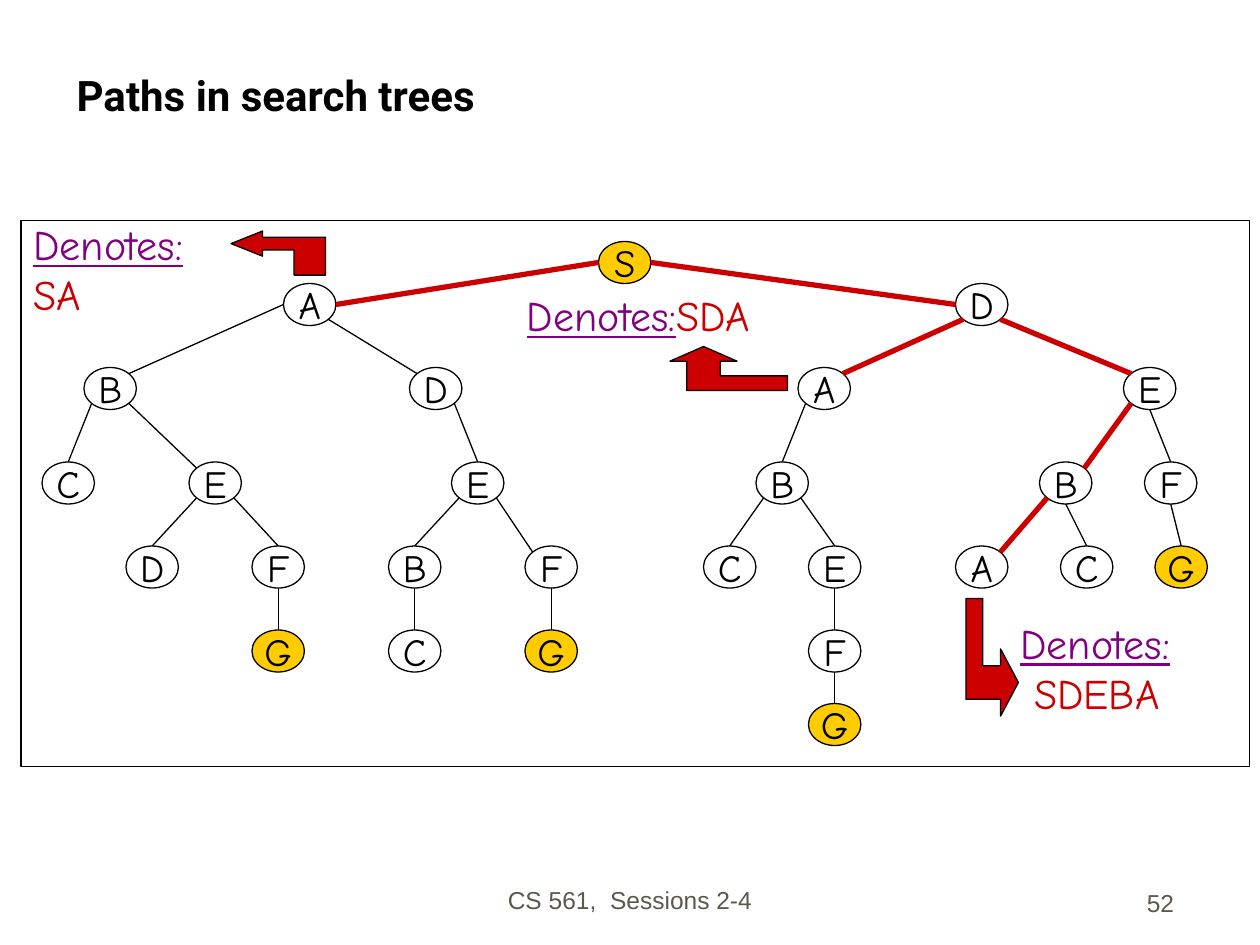
"""Build the slide on paths in search trees."""
from dataclasses import dataclass

import pptx
import pptx.dml.color
import pptx.enum.shapes
import pptx.enum.text
import pptx.oxml.ns
import pptx.shapes.autoshape
import pptx.slide
import pptx.text.text
import pptx.util
from lxml import etree

RGB = pptx.dml.color.RGBColor
BLACK = RGB(0x00, 0x00, 0x00)
WHITE = RGB(0xFF, 0xFF, 0xFF)
GOLD = RGB(0xFF, 0xCC, 0x00)
RED = RGB(0xCC, 0x00, 0x00)
PURPLE = RGB(0x80, 0x00, 0x80)
GREY = RGB(0x5E, 0x57, 0x4E)

ALIGN = pptx.enum.text.PP_ALIGN
ANCHOR = pptx.enum.text.MSO_ANCHOR
SHAPE = pptx.enum.shapes.MSO_SHAPE
GRID_CM = 2.54 / 12
NODE_W, NODE_H = 5, 4
DIAGONAL = 0.5 ** 0.5
SITES = {
    "N": (0, -1), "S": (0, 1), "W": (-1, 0), "E": (1, 0),
    "NW": (-DIAGONAL, -DIAGONAL), "NE": (DIAGONAL, -DIAGONAL),
    "SW": (-DIAGONAL, DIAGONAL), "SE": (DIAGONAL, DIAGONAL),
}


@dataclass(frozen=True)
class Node:
    """A tree node on the grid, with the edge from its parent."""
    name: str
    x: float
    y: float
    parent: str = ""
    leave: str = "S"
    enter: str = "N"
    marked: bool = False

    def site(self, side: str) -> tuple[float, float]:
        dx, dy = SITES[side]
        return self.x + NODE_W / 2 * (1 + dx), self.y + NODE_H / 2 * (1 + dy)


@dataclass(frozen=True)
class PathLabel:
    """A note naming the path that ends at a node."""
    box: tuple[float, float, float, float]
    word: str
    arrow: tuple[tuple[float, float], ...]
    same_line: bool = False
    indent: float = 0


NODES = [
    Node("S", 57, 23),
    Node("SA", 27, 27, "S", "W", "E", True),
    Node("SD", 91, 27, "S", "E", "W", True),
    Node("SAB", 8, 35, "SA", "W", "NE"),
    Node("SAD", 39, 35, "SA", "SE", "NW"),
    Node("SDE", 107, 35, "SD", "SE", "NW", True),
    Node("SDA", 76, 35, "SD", "SW", "NE", True),
    Node("SABC", 4, 44, "SAB", "SW"),
    Node("SABE", 18, 44, "SAB", "SE", "NW"),
    Node("SADE", 43, 44, "SAD", "SE"),
    Node("SDAB", 72, 44, "SDA", "SW"),
    Node("SDEB", 99, 44, "SDE", "SW", "NE", True),
    Node("SDEF", 109, 44, "SDE"),
    Node("SABED", 12, 52, "SABE", "SW"),
    Node("SABEF", 24, 52, "SABE", "SE"),
    Node("SADEB", 37, 52, "SADE", "SW"),
    Node("SADEF", 50, 52, "SADE", "SE", "NW"),
    Node("SDABC", 67, 52, "SDAB", "SW"),
    Node("SDABE", 77, 52, "SDAB", "SE"),
    Node("SDEBA", 91, 52, "SDEB", "SW", "NE", True),
    Node("SDEBC", 101, 52, "SDEB"),
    Node("SDEFG", 110, 52, "SDEF"),
    Node("SABEFG", 24, 60, "SABEF"),
    Node("SADEBC", 37, 60, "SADEB"),
    Node("SADEFG", 50, 60, "SADEF"),
    Node("SDABEF", 77, 60, "SDABE"),
    Node("SDABEFG", 77, 67, "SDABEF"),
]

LABELS = [
    PathLabel((2, 20.2, 18.8, 10.8), "SA", (
        (22, 23.2), (25, 24.4), (25, 23.8), (28, 23.8), (28, 26.2),
        (31, 26.2), (31, 22.6), (25, 22.6), (25, 22))),
    PathLabel((49, 27, 28, 6), "SDA", (
        (67, 33), (70.2, 34.4), (68.6, 34.4), (68.6, 35.8), (75, 35.8),
        (75, 37.2), (65.4, 37.2), (65.4, 34.4), (63.8, 34.4)), same_line=True),
    PathLabel((96, 58.2, 20, 10.8), "SDEBA", (
        (97, 65), (95.3, 61.8), (95.3, 63.4), (93.6, 63.4), (93.6, 57),
        (92, 57), (92, 66.6), (95.3, 66.6), (95.3, 68.2)), indent=1.3),
]


def grid(*values: float) -> list[int]:
    return [pptx.util.Cm(v * GRID_CM) for v in values]


def add_run(p: pptx.text.text._Paragraph, text: str, *, size: float = 24,
            font: str = "Comic Neue", color: RGB = BLACK,
            bold: bool = False, underline: bool = False) -> None:
    r = p.add_run()
    r.text = text
    r.font.size = pptx.util.Pt(size)
    r.font.name = font
    r.font.color.rgb = color
    r.font.bold = bold
    r.font.underline = underline


def style(sp: pptx.shapes.autoshape.Shape, fill: RGB) -> None:
    sp.shadow.inherit = False
    sp.fill.solid()
    sp.fill.fore_color.rgb = fill
    sp.line.color.rgb = BLACK
    sp.line.width = pptx.util.Pt(0.75)


def add_text_box(s: pptx.slide.Slide, box: tuple[float, ...]) -> pptx.text.text.TextFrame:
    tf = s.shapes.add_textbox(*grid(*box)).text_frame
    tf.word_wrap = True
    return tf


def add_footer(s: pptx.slide.Slide, box: tuple[float, ...], text: str, align: ALIGN) -> None:
    tf = add_text_box(s, box)
    tf.vertical_anchor = ANCHOR.BOTTOM
    p = tf.paragraphs[0]
    p.alignment = align
    add_run(p, text, size=14, font="Arial", color=GREY)


def add_node(s: pptx.slide.Slide, node: Node) -> None:
    sp = s.shapes.add_shape(SHAPE.OVAL, *grid(node.x, node.y, NODE_W, NODE_H))
    letter = node.name[-1]
    style(sp, GOLD if letter in "SG" else WHITE)
    tf = sp.text_frame
    tf.word_wrap = False
    tf.vertical_anchor = ANCHOR.MIDDLE
    tf.margin_left = tf.margin_right = tf.margin_top = tf.margin_bottom = 0
    p = tf.paragraphs[0]
    p.alignment = ALIGN.CENTER
    add_run(p, letter, size=22)


def add_edge(s: pptx.slide.Slide, parent: Node, child: Node) -> None:
    ends = grid(*parent.site(child.leave), *child.site(child.enter))
    line = s.shapes.add_connector(pptx.enum.shapes.MSO_CONNECTOR.STRAIGHT, *ends)
    line.line.color.rgb = RED if child.marked else BLACK
    line.line.width = pptx.util.Pt(3 if child.marked else 0.75)
    etree.SubElement(line._element.spPr, pptx.oxml.ns.qn("a:effectLst"))


def add_label(s: pptx.slide.Slide, label: PathLabel) -> None:
    tf = add_text_box(s, label.box)
    p = tf.paragraphs[0]
    add_run(p, "Denotes:", color=PURPLE, underline=True)
    if not label.same_line:
        p = tf.add_paragraph()
        p._p.get_or_add_pPr().set("marL", str(grid(label.indent)[0]))
    add_run(p, label.word, color=RED)
    start, *rest = [grid(*point) for point in label.arrow]
    builder = s.shapes.build_freeform(*start)
    builder.add_line_segments(rest, close=True)
    style(builder.convert_to_shape(), RED)


def main() -> None:
    prs = pptx.Presentation()
    prs.slide_width, prs.slide_height = grid(120, 90)
    s = prs.slides.add_slide(prs.slide_layouts[5])

    title = s.shapes.title
    title.left, title.top, title.width, title.height = grid(6.1, 3, 107, 9)
    tf = title.text_frame
    tf.vertical_anchor = ANCHOR.BOTTOM
    p = tf.paragraphs[0]
    p.alignment = ALIGN.LEFT
    add_run(p, "Paths in search trees", font="Roboto", bold=True)

    add_footer(s, (41, 81.7, 38, 6), "CS 561,  Sessions 2-4", ALIGN.CENTER)
    add_footer(s, (88, 82, 25, 6), "52", ALIGN.RIGHT)

    style(s.shapes.add_shape(SHAPE.RECTANGLE, *grid(2, 21, 117, 52)), WHITE)
    by_name = {node.name: node for node in NODES}
    for node in NODES:
        add_node(s, node)
    for node in NODES[1:]:
        add_edge(s, by_name[node.parent], node)
    for label in LABELS:
        add_label(s, label)
    prs.save("out.pptx")


if __name__ == "__main__":
    main()
